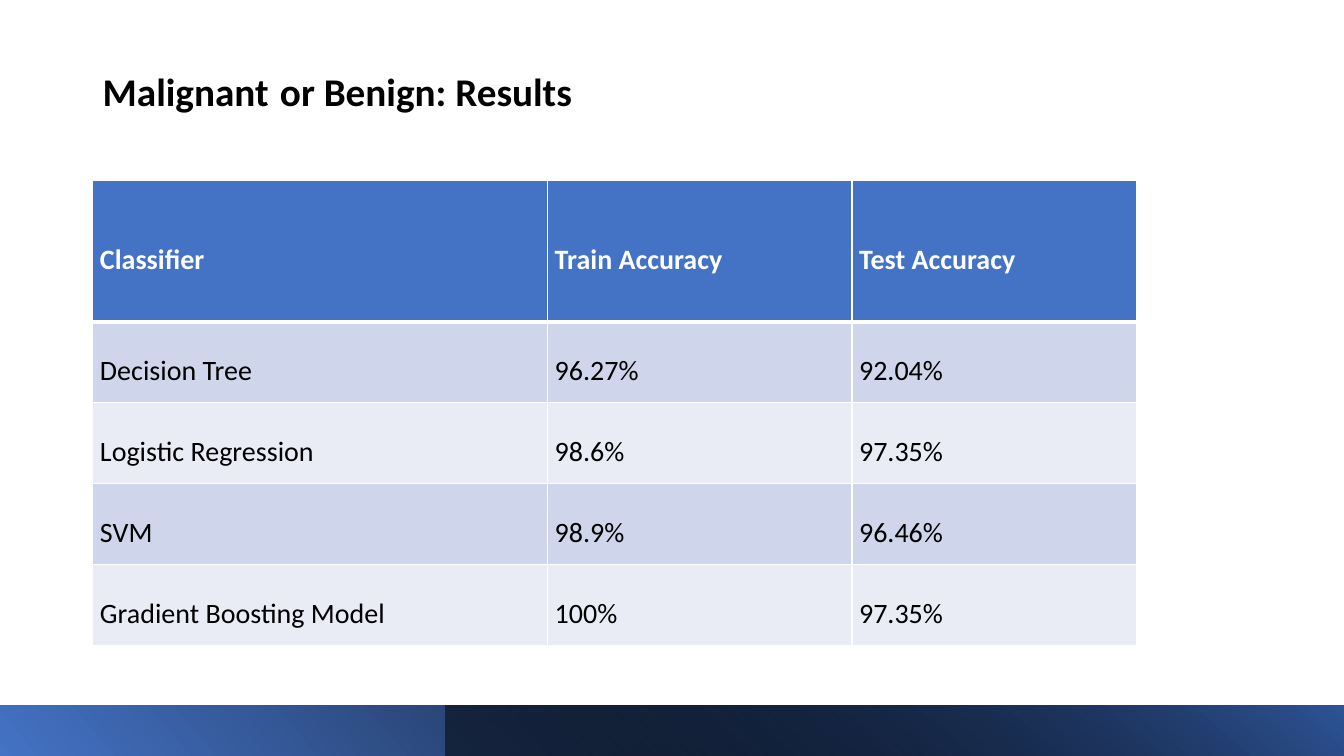
from dataclasses import dataclass

from lxml import etree
from pptx import Presentation
from pptx import util as u
from pptx.dml.color import RGBColor
from pptx.enum import shapes, text
from pptx.oxml.ns import qn


@dataclass(frozen=True)
class Theme:
    font: str = "Calibri"
    title_size: int = 28
    title_space_size: int = 36
    table_size: int = 20
    ink: str = "000000"
    paper: str = "FFFFFF"
    accent: str = "4472C4"
    accent_dark: str = "2F5597"
    bands: tuple[str, str] = ("CFD5EA", "E9EBF5")
    thin_border: int = 1
    thick_border: int = 3


@dataclass(frozen=True)
class Stop:
    position: float
    color: str
    opacity: int = 100


@dataclass(frozen=True)
class FooterBar:
    left: float
    angle: int
    stops: tuple[Stop, Stop]


THEME = Theme()
SLIDE_WIDTH, SLIDE_HEIGHT = 33.87, 19.05
FOOTER_HEIGHT = 1.27
MARGIN = 2.34

FOOTER_BARS = [
    FooterBar(0, 40, (Stop(0, THEME.accent), Stop(0.9, THEME.ink))),
    FooterBar(11.22, 50, (Stop(0, THEME.ink, 50), Stop(1, THEME.accent_dark))),
]

TABLE_TOP = 4.55
COLUMN_WIDTHS = [11.46, 7.67, 7.18]
ROW_HEIGHTS = [3.56] + [2.04] * 4
RESULTS = [
    ("Classifier", "Train Accuracy", "Test Accuracy"),
    ("Decision Tree", "96.27%", "92.04%"),
    ("Logistic Regression", "98.6%", "97.35%"),
    ("SVM", "98.9%", "96.46%"),
    ("Gradient Boosting Model", "100%", "97.35%"),
]


def rgb(color: str) -> RGBColor:
    return RGBColor.from_string(color)


def add_title(slide) -> None:
    box = slide.shapes.add_textbox(u.Cm(MARGIN), u.Cm(1.5), u.Cm(15.98), u.Cm(1.55))
    frame = box.text_frame
    frame.word_wrap = True
    frame.vertical_anchor = text.MSO_ANCHOR.BOTTOM
    paragraph = frame.paragraphs[0]
    paragraph.line_spacing = 0.8
    paragraph.space_after = u.Pt(6)
    paragraph.font.name = THEME.font
    paragraph.font.color.rgb = rgb(THEME.ink)
    for words, size, bold in (
        ("Malignant", THEME.title_size, True),
        (" ", THEME.title_space_size, False),
        ("or Benign: Results", THEME.title_size, True),
    ):
        run = paragraph.add_run()
        run.text = words
        run.font.size = u.Pt(size)
        run.font.bold = bold


def add_footer_bar(slide, bar: FooterBar) -> None:
    """Draw a gradient bar from bar.left to the right edge of the slide."""
    shape = slide.shapes.add_shape(
        shapes.MSO_SHAPE.RECTANGLE,
        u.Cm(bar.left), u.Cm(SLIDE_HEIGHT - FOOTER_HEIGHT),
        u.Cm(SLIDE_WIDTH - bar.left), u.Cm(FOOTER_HEIGHT),
    )
    shape.shadow.inherit = False
    shape.line.fill.background()
    shape.fill.gradient()
    shape.fill.gradient_angle = bar.angle
    for gradient_stop, stop in zip(shape.fill.gradient_stops, bar.stops):
        gradient_stop.position = stop.position
        gradient_stop.color.rgb = rgb(stop.color)
    colors = shape.fill._xPr.iter(qn("a:srgbClr"))
    for color, stop in zip(colors, bar.stops):
        if stop.opacity < 100:
            etree.SubElement(color, qn("a:alpha"), val=str(stop.opacity * 1000))


def set_borders(cell, top: int, bottom: int) -> None:
    """Give the cell white borders, with top and bottom widths in points."""
    properties = cell._tc.get_or_add_tcPr()
    widths = {"L": THEME.thin_border, "R": THEME.thin_border, "T": top, "B": bottom}
    for index, (side, width) in enumerate(widths.items()):
        line = etree.Element(qn(f"a:ln{side}"), w=str(u.Pt(width)))
        fill = etree.SubElement(line, qn("a:solidFill"))
        etree.SubElement(fill, qn("a:srgbClr"), val=THEME.paper)
        properties.insert(index, line)


def fill_cell(cell, words: str, row: int) -> None:
    is_header = row == 0
    cell.fill.solid()
    cell.fill.fore_color.rgb = rgb(THEME.accent if is_header else THEME.bands[(row - 1) % 2])
    cell.vertical_anchor = text.MSO_ANCHOR.MIDDLE
    cell.margin_left = cell.margin_right = u.Cm(0.18)
    cell.margin_top = cell.margin_bottom = 0
    cell.text = words
    paragraph = cell.text_frame.paragraphs[0]
    paragraph.line_spacing = 1.5
    paragraph.font.name = THEME.font
    paragraph.font.size = u.Pt(THEME.table_size)
    paragraph.font.bold = is_header
    paragraph.font.color.rgb = rgb(THEME.paper if is_header else THEME.ink)
    set_borders(
        cell,
        top=THEME.thick_border if row == 1 else THEME.thin_border,
        bottom=THEME.thick_border if is_header else THEME.thin_border,
    )


def add_results_table(slide) -> None:
    table = slide.shapes.add_table(
        len(RESULTS), len(COLUMN_WIDTHS), u.Cm(MARGIN), u.Cm(TABLE_TOP),
        u.Cm(sum(COLUMN_WIDTHS)), u.Cm(sum(ROW_HEIGHTS)),
    ).table
    for column, width in zip(table.columns, COLUMN_WIDTHS):
        column.width = u.Cm(width)
    for row, height in zip(table.rows, ROW_HEIGHTS):
        row.height = u.Cm(height)
    for row_index, result in enumerate(RESULTS):
        for column_index, words in enumerate(result):
            fill_cell(table.cell(row_index, column_index), words, row_index)


def main() -> None:
    presentation = Presentation()
    presentation.slide_width = u.Cm(SLIDE_WIDTH)
    presentation.slide_height = u.Cm(SLIDE_HEIGHT)
    slide = presentation.slides.add_slide(presentation.slide_layouts[6])
    add_title(slide)
    for bar in FOOTER_BARS:
        add_footer_bar(slide, bar)
    add_results_table(slide)
    presentation.save("out.pptx")


if __name__ == "__main__":
    main()
